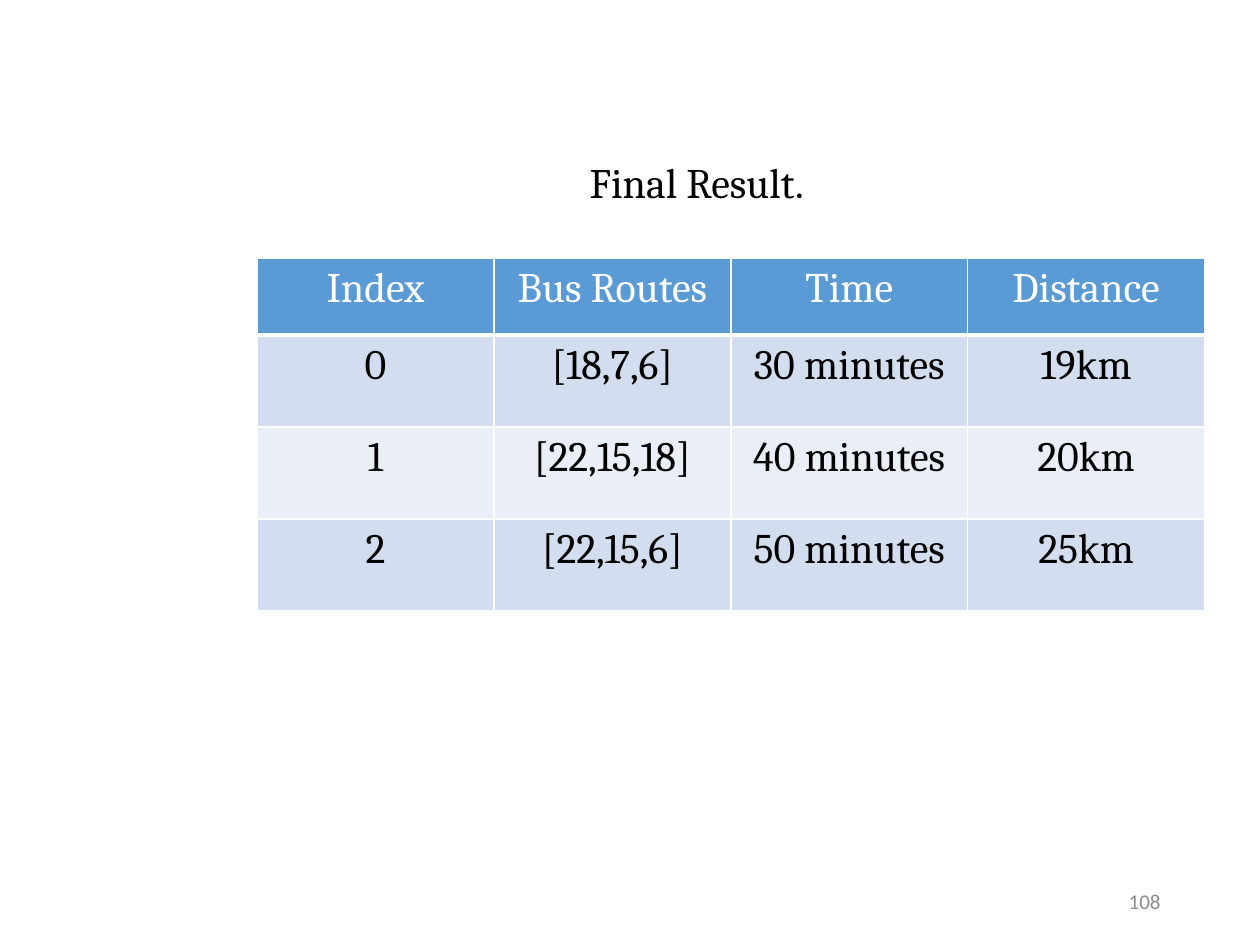
from lxml.etree import SubElement
from pptx import Presentation
from pptx.dml.color import RGBColor
from pptx.enum.text import MSO_ANCHOR as Anchor, PP_ALIGN as Align
from pptx.oxml.ns import qn
from pptx.util import Inches, Pt

# Content
TITLE = "Final Result."
ROUTES = [
    ("Index", "Bus Routes", "Time", "Distance"),
    ("0", "[18,7,6]", "30 minutes", "19km"),
    ("1", "[22,15,18]", "40 minutes", "20km"),
    ("2", "[22,15,6]", "50 minutes", "25km"),
]
PAGE_NUMBER = "108"

# Style
BLACK = RGBColor(0x00, 0x00, 0x00)
WHITE = RGBColor(0xFF, 0xFF, 0xFF)
GREY = RGBColor(0x8C, 0x8C, 0x8C)
HEADER_BLUE = RGBColor(0x5B, 0x9B, 0xD5)
BANDS = [RGBColor(0xEA, 0xEF, 0xF7), RGBColor(0xD2, 0xDE, 0xEF)]
COLUMN_WIDTH, HEADER_HEIGHT, ROW_HEIGHT = 1.88, 0.61, 0.73


def write(frame, text, size=24, font="Cambria", color=BLACK,
          align=Align.CENTER, anchor=Anchor.TOP):
    frame.vertical_anchor = anchor
    paragraph = frame.paragraphs[0]
    paragraph.alignment = align
    run = paragraph.add_run()
    run.text = text
    run.font.size, run.font.name = Pt(size), font
    run.font.bold = False
    run.font.color.rgb = color


def set_borders(cell, bottom=1, top=1):
    properties = cell._tc.get_or_add_tcPr()
    sides = {"lnL": 1, "lnR": 1, "lnT": top, "lnB": bottom}
    for position, (side, width) in enumerate(sides.items()):
        line = SubElement(properties, qn(f"a:{side}"), w=str(Pt(width)))
        fill = SubElement(line, qn("a:solidFill"))
        SubElement(fill, qn("a:srgbClr"), val=str(WHITE))
        properties.insert(position, line)


presentation = Presentation()
presentation.slide_width, presentation.slide_height = Inches(10), Inches(7.5)
slide = presentation.slides.add_slide(presentation.slide_layouts[5])

# Title
title = slide.shapes.title
title.left, title.top = Inches(4.58), Inches(1.19)
title.width, title.height = Inches(1.97), Inches(0.5)
title.text_frame.word_wrap = False
write(title.text_frame, TITLE, align=Align.LEFT)

# Route table
row_count, column_count = len(ROUTES), len(ROUTES[0])
table = slide.shapes.add_table(
    row_count, column_count, Inches(2.04), Inches(2.05),
    Inches(column_count * COLUMN_WIDTH),
    Inches(HEADER_HEIGHT + (row_count - 1) * ROW_HEIGHT)).table
for column in table.columns:
    column.width = Inches(COLUMN_WIDTH)
for r, route in enumerate(ROUTES):
    is_header = r == 0
    table.rows[r].height = Inches(HEADER_HEIGHT if is_header else ROW_HEIGHT)
    for c, value in enumerate(route):
        cell = table.cell(r, c)
        cell.fill.solid()
        cell.fill.fore_color.rgb = HEADER_BLUE if is_header else BANDS[r % 2]
        write(cell.text_frame, value, color=WHITE if is_header else BLACK)
        set_borders(cell, bottom=3 if is_header else 1, top=3 if r == 1 else 1)

# Page number
page = slide.shapes.add_textbox(Inches(7.06), Inches(6.95), Inches(2.25), Inches(0.4))
page.text_frame.word_wrap = True
write(page.text_frame, PAGE_NUMBER, size=12, font="Calibri", color=GREY,
      align=Align.RIGHT, anchor=Anchor.MIDDLE)

presentation.save("out.pptx")
